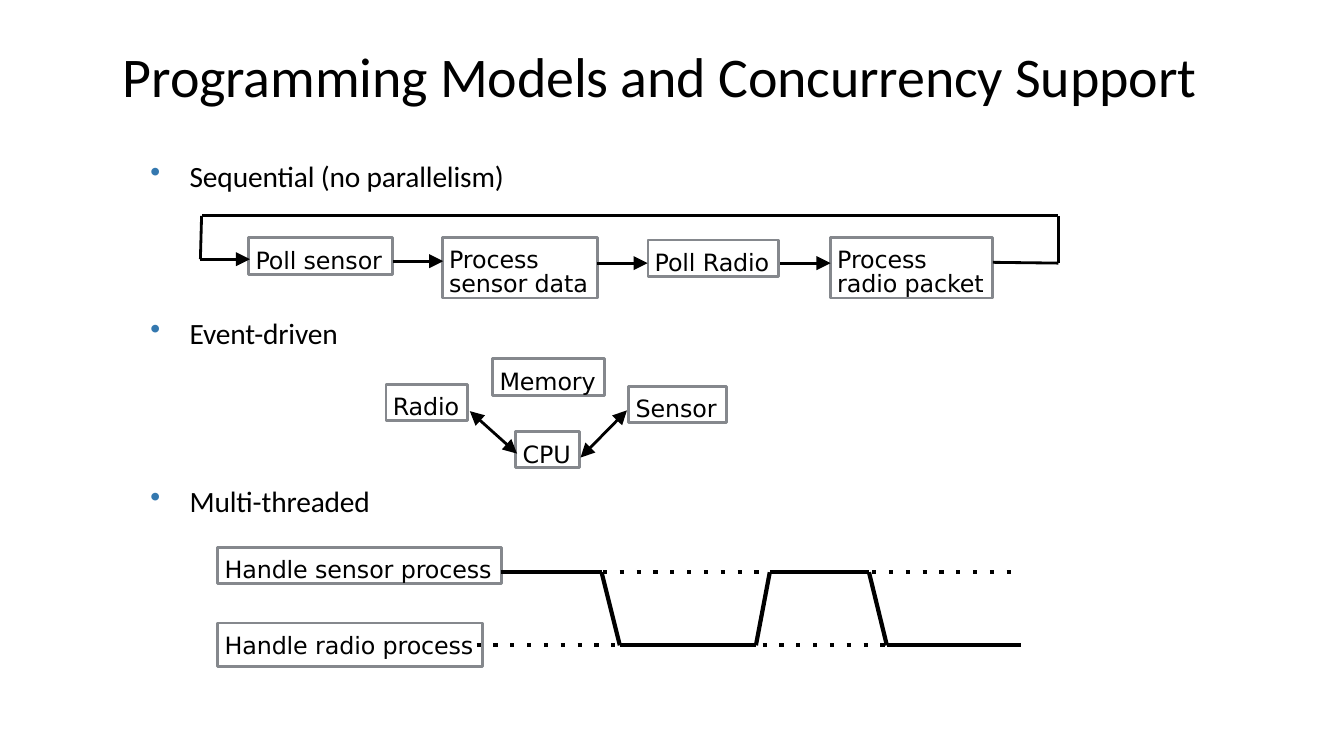
from lxml.etree import SubElement
from pptx import Presentation
from pptx.dml.color import RGBColor
from pptx.enum.shapes import MSO_CONNECTOR as Connector, MSO_SHAPE as Shape
from pptx.enum.text import MSO_ANCHOR as Anchor, PP_ALIGN as Align
from pptx.oxml.ns import qn
from pptx.util import Cm, Pt


def colour(value):
    return RGBColor.from_string(value)


class Diagram:
    """Style and drawing methods for one slide; all lengths are in cm."""

    black, grey, blue = "000000", "85888D", "3478AF"
    body_font, label_font = "Calibri", "DejaVu Sans"

    def __init__(self, page):
        self.page = page

    def fill_text(self, shape, text, size, font, left=0.0, top=0.03):
        """Set one paragraph of text with the given insets and return it."""
        frame = shape.text_frame
        frame.word_wrap = True
        frame.vertical_anchor = Anchor.TOP
        frame.margin_left, frame.margin_top = Cm(left), Cm(top)
        frame.margin_right = frame.margin_bottom = 0
        frame.text = text
        para = frame.paragraphs[0]
        para.alignment = Align.LEFT
        for span in para.runs:
            span.font.name, span.font.size = font, Pt(size)
            span.font.color.rgb = colour(self.black)
            span.font._element.set("spc", "-10")
        return para

    def text(self, text, left, top, width, height, size):
        box = self.page.shapes.add_textbox(Cm(left), Cm(top), Cm(width), Cm(height))
        return self.fill_text(box, text, size, self.body_font)

    def bullet(self, text, top):
        para = self.text(text, 3.76, top, 9.8, 0.97, 21)
        properties = para._p.get_or_add_pPr()
        properties.set("marL", str(Cm(1.02)))
        properties.set("indent", str(-Cm(0.99)))
        tint = SubElement(properties, qn("a:buClr"))
        SubElement(tint, qn("a:srgbClr")).set("val", self.blue)
        SubElement(properties, qn("a:buChar")).set("char", "•")

    def label(self, text, left, top, width, height=0.92, inset=0.2, spacing=None):
        box = self.page.shapes.add_shape(
            Shape.RECTANGLE, Cm(left), Cm(top), Cm(width), Cm(height))
        box.shadow.inherit = False
        box.fill.background()
        box.line.color.rgb = colour(self.grey)
        box.line.width = Pt(2)
        para = self.fill_text(box, text, 17, self.label_font, 0.17, inset)
        if spacing:
            para.line_spacing = Pt(spacing)

    def line(self, start, end, width=2, dash=None, heads=()):
        """Draw a line; heads may hold "a:headEnd" (start) and "a:tailEnd" (end)."""
        link = self.page.shapes.add_connector(
            Connector.STRAIGHT, *(Cm(value) for value in (*start, *end)))
        link.line.color.rgb = colour(self.black)
        link.line.width = Pt(width)
        outline = link.line._get_or_add_ln()
        if dash:
            SubElement(outline, qn("a:prstDash")).set("val", dash)
        for head in heads:
            tip = SubElement(outline, qn(head))
            for name, value in (("type", "triangle"), ("w", "lg"), ("len", "lg")):
                tip.set(name, value)
        SubElement(link._element.spPr, qn("a:effectLst"))

    def route(self, points, width=2):
        for start, end in zip(points, points[1:]):
            self.line(start, end, width)


def draw_sequential(diagram):
    diagram.bullet("Sequential (no parallelism)", 3.96)
    diagram.label("Poll sensor", 6.27, 5.99, 3.63)
    diagram.label("Process sensor data", 11.15, 5.99, 3.91, 1.52, 0.3, 17)
    diagram.label("Poll Radio", 16.33, 6.05, 3.3)
    diagram.label("Process radio packet", 20.93, 5.99, 4.09, 1.52, 0.3, 17)
    for start, end, y in ((5.03, 6.3, 6.53), (9.91, 11.17, 6.58),
                          (15.04, 16.32, 6.63), (19.66, 20.93, 6.63)):
        diagram.line((start, y), (end, y), heads=["a:tailEnd"])
    diagram.route([(25.02, 6.61), (26.67, 6.63), (26.67, 5.44),
                   (5.08, 5.44), (5.05, 6.53)])


def draw_event_driven(diagram):
    diagram.bullet("Event-driven", 7.9)
    diagram.label("CPU", 13.0, 10.87, 1.6)
    diagram.label("Radio", 9.73, 9.68, 2.06)
    diagram.label("Memory", 12.42, 9.04, 2.82)
    diagram.label("Sensor", 15.85, 9.73, 2.46)
    for device, processor in (((11.84, 10.36), (13.03, 11.43)),
                              ((15.8, 10.34), (14.63, 11.53))):
        diagram.line(device, processor, heads=["a:headEnd", "a:tailEnd"])


def draw_multi_threaded(diagram):
    sensor, radio, end = 14.42, 16.26, 25.73
    diagram.bullet("Multi-threaded", 12.14)
    diagram.label("Handle sensor process", 5.49, 13.79, 7.16)
    diagram.label("Handle radio process", 5.49, 15.7, 6.68, 1.09)
    diagram.line((12.65, sensor), (end, sensor), 3, "dot")
    diagram.line((12.01, radio), (end, radio), 3, "dot")
    diagram.route([(12.62, sensor), (15.16, sensor), (15.62, radio),
                   (19.05, radio), (19.4, sensor), (21.9, sensor),
                   (22.35, radio), (end, radio)], 3)


def main():
    deck = Presentation()
    deck.slide_width, deck.slide_height = Cm(33.87), Cm(19.05)
    diagram = Diagram(deck.slides.add_slide(deck.slide_layouts[6]))
    diagram.text("Programming Models and Concurrency Support",
                 3.1, 1.02, 29.3, 1.75, 40)
    draw_sequential(diagram)
    draw_event_driven(diagram)
    draw_multi_threaded(diagram)
    deck.save("out.pptx")


if __name__ == "__main__":
    main()
